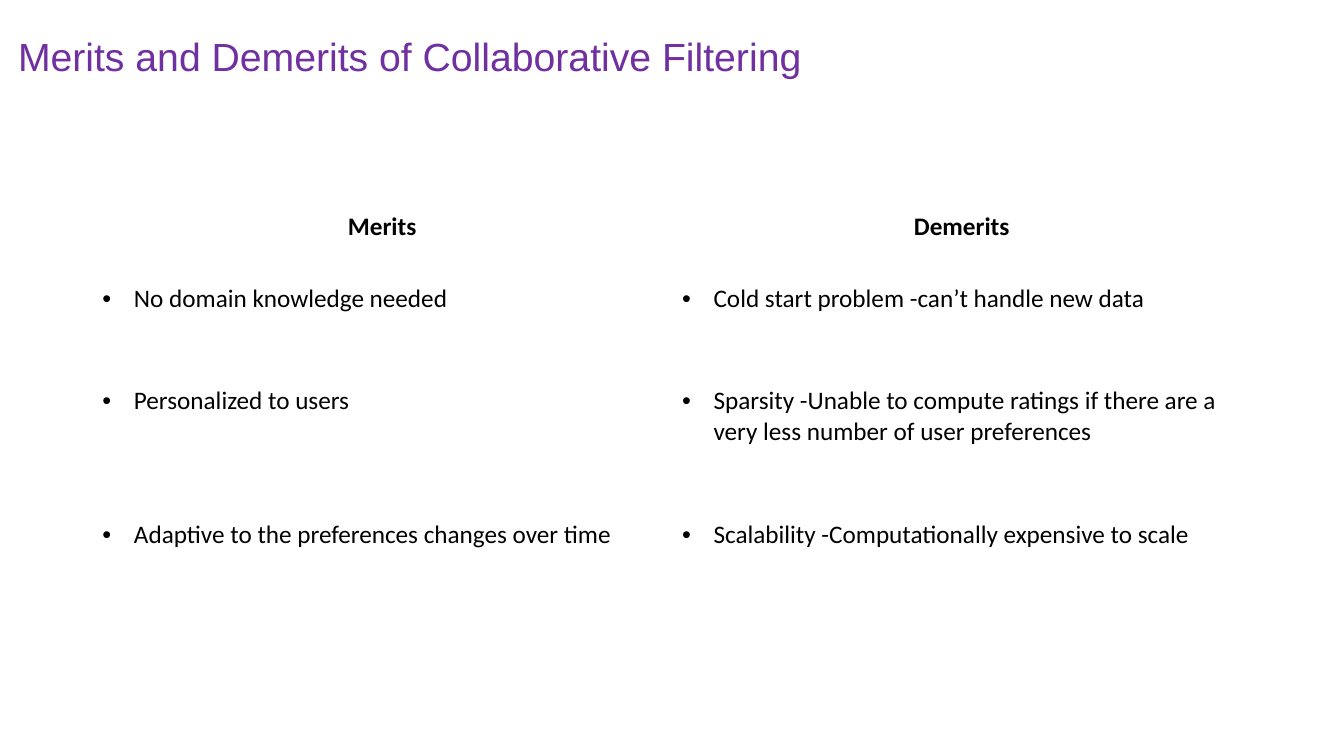
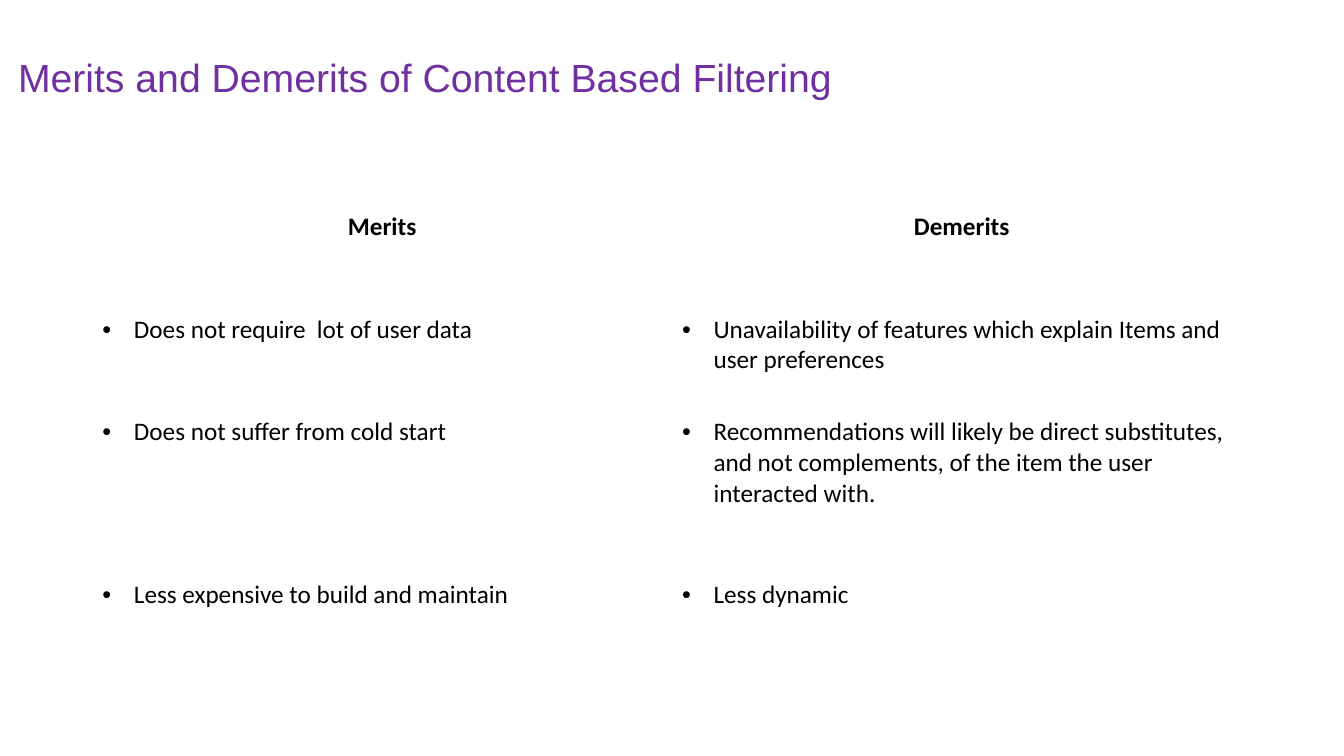
from lxml import etree
from pptx import Presentation
from pptx.dml.color import RGBColor
from pptx.enum import text
from pptx.oxml import ns
from pptx.util import Pt

PURPLE = RGBColor(0x70, 0x30, 0xA0)
BLACK = RGBColor(0, 0, 0)
WHITE = RGBColor(0xFF, 0xFF, 0xFF)
TITLE_FONT = "Arial"
BODY_FONT = "Calibri"
BODY_SIZE = 18
LINE_HEIGHT = 22
CELL_MARGIN = 3.6
BULLET_INDENT = 22.5
TABLE_LEFT, TABLE_TOP = 66, 147.6
COLUMN_WIDTH = 414
HEADER_HEIGHT = 29.2
HEADERS = ("Merits", "Demerits")

COLLABORATIVE_ROWS = [
    (73.2, 1, "No domain knowledge needed",
     "Cold start problem -can’t handle new data"),
    (95.2, 1, "Personalized to users",
     "Sparsity -Unable to compute ratings if there are a very less number of user preferences"),
    (91.2, 1, "Adaptive to the preferences changes over time",
     "Scalability -Computationally expensive to scale"),
]
CONTENT_ROWS = [
    (95.2, 2, "Does not require  lot of user data",
     "Unavailability of features which explain Items and user preferences"),
    (116.4, 1, "Does not suffer from cold start",
     "Recommendations will likely be direct substitutes, and not complements, "
     "of the item the user interacted with."),
    (83.2, 1, "Less expensive to build and maintain", "Less dynamic"),
]


def add_bullet(para):
    properties = para._p.get_or_add_pPr()
    properties.set("marL", str(Pt(BULLET_INDENT)))
    properties.set("indent", str(-Pt(BULLET_INDENT)))
    etree.SubElement(properties, ns.qn("a:buFont")).set("typeface", "Arial")
    etree.SubElement(properties, ns.qn("a:buChar")).set("char", "•")


def write_text(frame, words, *, font=BODY_FONT, size=BODY_SIZE, color=BLACK,
               bold=False, align=text.PP_ALIGN.LEFT, spacing=1.0, bullet=False):
    para = frame.paragraphs[0]
    para.alignment = align
    para.line_spacing = spacing
    if bullet:
        add_bullet(para)
    span = para.add_run()
    span.text = words
    span.font.name = font
    span.font.size = Pt(size)
    span.font.bold = bold
    span.font.color.rgb = color


def add_title(page, words, height):
    box = page.shapes.add_textbox(Pt(5.8), Pt(19.4), Pt(798), Pt(height))
    frame = box.text_frame
    frame.word_wrap = True
    frame.vertical_anchor = text.MSO_ANCHOR.MIDDLE
    write_text(frame, words, font=TITLE_FONT, size=28, color=PURPLE, spacing=0.9)


def fill_cell(cell, words, blank_lines=0, **style):
    cell.fill.solid()
    cell.fill.fore_color.rgb = WHITE
    cell.margin_top = Pt(CELL_MARGIN + blank_lines * LINE_HEIGHT)
    cell.margin_bottom = Pt(CELL_MARGIN)
    write_text(cell.text_frame, words, **style)


def add_comparison(page, rows):
    heights = [HEADER_HEIGHT] + [row[0] for row in rows]
    table = page.shapes.add_table(
        len(heights), len(HEADERS), Pt(TABLE_LEFT), Pt(TABLE_TOP),
        Pt(COLUMN_WIDTH * len(HEADERS)), Pt(sum(heights))).table
    for row, height in zip(table.rows, heights):
        row.height = Pt(height)
    for column, header in enumerate(HEADERS):
        fill_cell(table.cell(0, column), header, bold=True, align=text.PP_ALIGN.CENTER)
    for index, (_, blank_lines, *points) in enumerate(rows, 1):
        for column, point in enumerate(points):
            fill_cell(table.cell(index, column), point, blank_lines, bullet=True)


def add_page(deck, title, title_height, rows):
    page = deck.slides.add_slide(deck.slide_layouts[6])
    add_title(page, title, title_height)
    add_comparison(page, rows)


def main():
    deck = Presentation()
    deck.slide_width = Pt(960)
    deck.slide_height = Pt(540)
    add_page(deck, "Merits and Demerits of Collaborative Filtering", 44.6, COLLABORATIVE_ROWS)
    add_page(deck, "Merits and Demerits of Content Based Filtering", 75.6, CONTENT_ROWS)
    deck.save("out.pptx")


if __name__ == "__main__":
    main()
